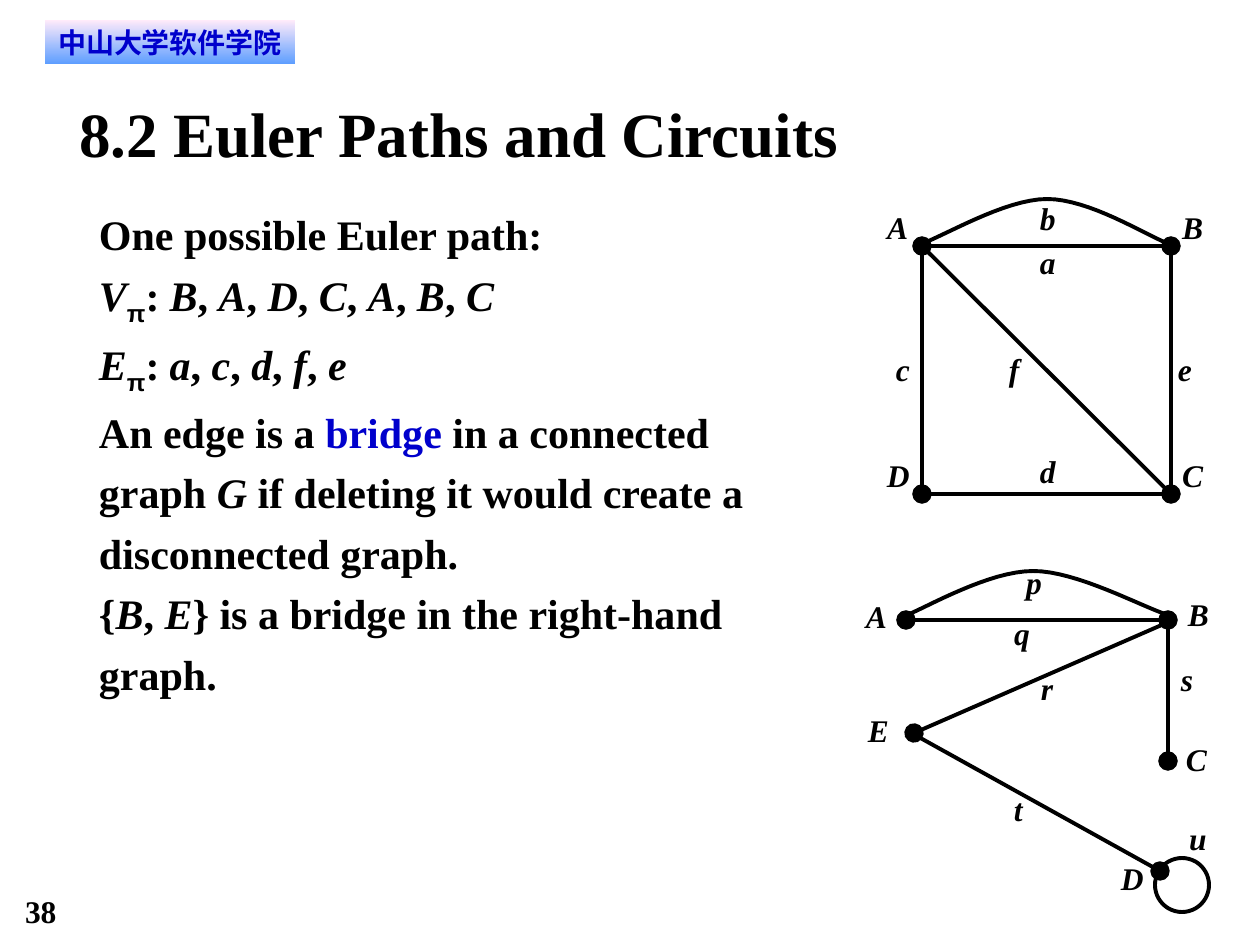
from pptx import Presentation
from pptx.dml.color import RGBColor
from pptx.enum.shapes import MSO_CONNECTOR as Connector, MSO_SHAPE as Shape
from pptx.enum.text import PP_ALIGN as Align
from pptx.oxml.ns import qn
from pptx.util import Emu, Pt
from lxml.etree import SubElement

SCALE = 914400 / 126  # EMU in one px
SERIF = "Times New Roman"
BLACK, BLUE = "000000", "0000CC"


def px(*lengths):
    return [Emu(round(length * SCALE)) for length in lengths]


def add_run(paragraph, text, size, italic=False, color=BLACK, name=SERIF, bold=True):
    run = paragraph.add_run()
    run.text = text
    font = run.font
    font.size, font.bold, font.italic, font.name = Pt(size), bold, italic, name
    font.color.rgb = RGBColor.from_string(color)
    return run


presentation = Presentation()
presentation.slide_width, presentation.slide_height = px(1260, 945)
slide = presentation.slides.add_slide(presentation.slide_layouts[6])
shapes = slide.shapes

# School banner
banner = shapes.add_shape(Shape.RECTANGLE, *px(45, 20, 250, 44))
banner.shadow.inherit = False
banner.line.fill.background()
banner.fill.gradient()
banner.fill.gradient_angle = 270
for stop, color in zip(banner.fill.gradient_stops, ("FFEBFA", "5E9EFF")):
    stop.color.rgb = RGBColor.from_string(color)
frame = banner.text_frame
frame.margin_left, frame.margin_top, frame.margin_right, frame.margin_bottom = px(10, 5, 10, 5)
frame.paragraphs[0].alignment = Align.CENTER
add_run(frame.paragraphs[0], "中山大学软件学院", 16, color=BLUE, name="DejaVu Sans")

# Text boxes: title, slide number, then the labels of both graphs
texts = [
    ("8.2 Euler Paths and Circuits", 79, 95, 1103, 76, 36, False),
    ("38", 25, 892, 95, 38, 18, False),
]
labels = [
    # Square graph
    ("A", 887, 208, 21), ("B", 1182, 208, 21), ("C", 1182, 456, 21), ("D", 887, 456, 23),
    ("a", 1040, 243, 16), ("b", 1040, 199, 16), ("c", 896, 350, 14),
    ("d", 1040, 452, 16), ("e", 1178, 350, 14), ("f", 1009, 350, 10),
    # Bridge graph
    ("A", 866, 597, 25), ("B", 1188, 595, 23), ("C", 1186, 740, 25),
    ("D", 1121, 859, 25), ("E", 868, 711, 23),
    ("p", 1026, 563, 18), ("q", 1014, 614, 18), ("r", 1041, 669, 14),
    ("s", 1181, 660, 14), ("t", 1014, 790, 10), ("u", 1189, 819, 19),
]
texts += [(*label, 38, 18, True) for label in labels]
texts.append(("", 99, 198, 693, 500, 24, False))  # body, filled below
for text, left, top, width, height, size, italic in texts:
    frame = shapes.add_textbox(*px(left, top, width, height)).text_frame
    frame.word_wrap = True
    frame.margin_left = frame.margin_top = frame.margin_right = frame.margin_bottom = 0
    if text:
        add_run(frame.paragraphs[0], text, size, italic)

# Body text
body = frame
paragraphs = [body.paragraphs[0]] + [body.add_paragraph() for _ in range(4)]
for paragraph in paragraphs:
    paragraph.line_spacing = 1.2
intro, vertices, edges, definition, example = paragraphs
add_run(intro, "One possible Euler path:", 24)
for paragraph, symbol, members in ((vertices, "V", "BADCABC"), (edges, "E", "acdfe")):
    add_run(paragraph, symbol, 24, True)
    subscript = add_run(paragraph, "π", 24, name="Arial")
    subscript.font._element.set("baseline", "-25000")
    add_run(paragraph, ":", 24)
    add_run(paragraph, " ", 18, name="DejaVu Sans", bold=False)
    for index, member in enumerate(members):
        if index:
            add_run(paragraph, ", ", 24)
        add_run(paragraph, member, 24, True)
add_run(definition, "An edge is a ", 24)
add_run(definition, "bridge", 24, color=BLUE)
add_run(definition, " in a connected graph ", 24)
add_run(definition, "G", 24, True)
add_run(definition, " if deleting it would create a disconnected graph.", 24)
for text, italic in (("{", False), ("B", True), (", ", False), ("E", True),
                     ("} is a bridge in the right-hand graph.", False)):
    add_run(example, text, 24, italic)

# Straight edges, with dots at the named ends
DOTS = ("headEnd", "tailEnd")
for start, end, dots in [
    ((922, 246), (922, 494), ()),
    ((1171, 494), (1171, 246), ()),
    ((922, 246), (1171, 246), DOTS),
    ((922, 494), (1171, 494), DOTS),
    ((1171, 494), (922, 246), ()),
    ((915, 735), (1160, 871), DOTS[1:]),
    ((914, 733), (1164, 624), DOTS[:1]),
    ((906, 620), (1168, 620), DOTS),
    ((1168, 625), (1168, 761), DOTS[1:]),
]:
    edge = shapes.add_connector(Connector.STRAIGHT, *px(*start, *end))
    edge.line.width = Pt(2.25)
    edge.line.color.rgb = RGBColor.from_string(BLACK)
    for dot in dots:
        SubElement(edge.line._get_or_add_ln(), qn(f"a:{dot}"), type="oval", w="lg", len="lg")
    SubElement(edge._element.spPr, qn("a:effectLst"))

# Curved edges b and p, each two Bezier pieces, and the loop u
outlines = []
for points in (
    [(921, 244), (942, 237), (1005, 199), (1047, 199), (1089, 199), (1144, 234), (1169, 244)],
    [(907, 615), (927, 607), (989, 571), (1033, 571), (1077, 571), (1140, 606), (1168, 615)],
):
    curve = [points[0]]
    for piece in (points[:4], points[3:]):
        for step in range(1, 17):
            t = step / 16
            weights = ((1 - t) ** 3, 3 * t * (1 - t) ** 2, 3 * t * t * (1 - t), t ** 3)
            curve.append([sum(w * point[axis] for w, point in zip(weights, piece))
                          for axis in (0, 1)])
    builder = shapes.build_freeform(*px(*curve[0]))
    builder.add_line_segments([px(*point) for point in curve[1:]], close=False)
    outlines.append(builder.convert_to_shape())
outlines.append(shapes.add_shape(Shape.OVAL, *px(1155, 858, 54, 54)))
for outline in outlines:
    outline.shadow.inherit = False
    outline.fill.background()
    outline.line.width = Pt(2.25)
    outline.line.color.rgb = RGBColor.from_string(BLACK)

presentation.save("out.pptx")
